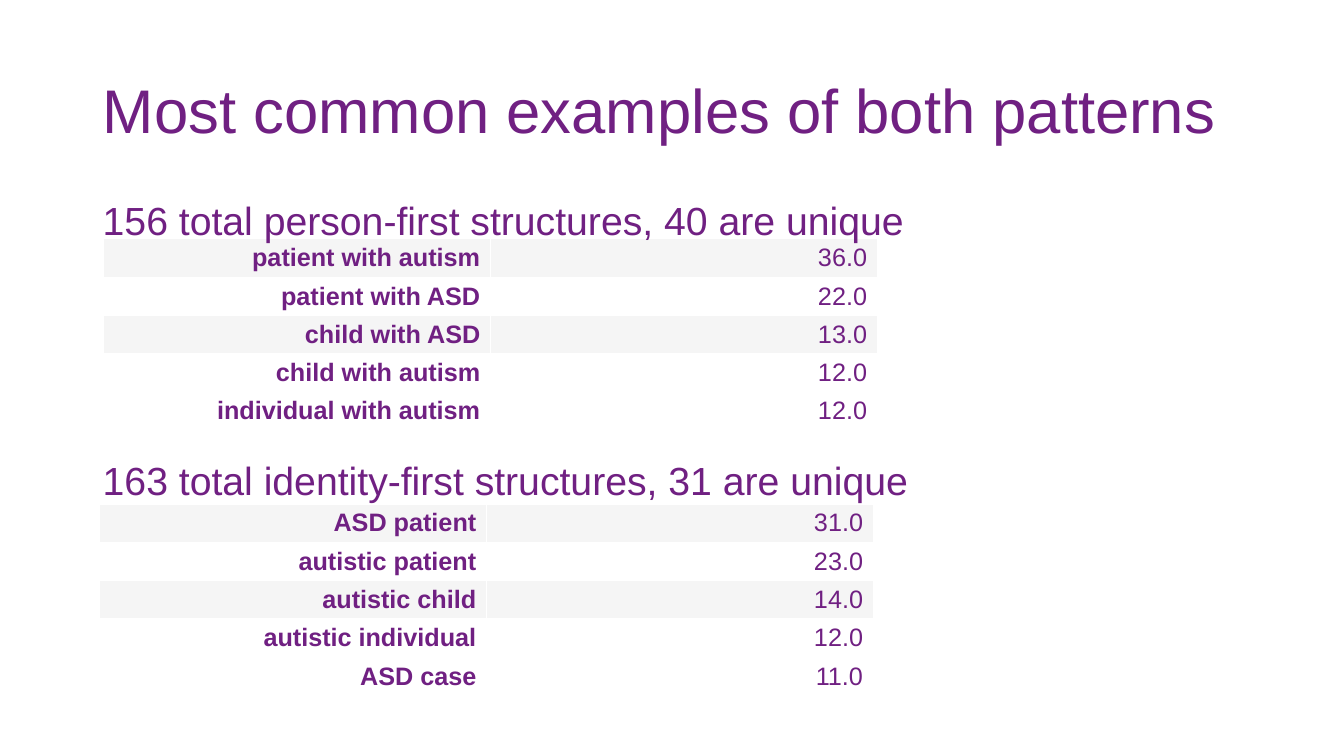
"""Build the slide on the most common person-first and identity-first examples."""
from pptx import Presentation
from pptx.dml.color import RGBColor
from pptx.enum.text import MSO_ANCHOR, MSO_AUTO_SIZE, PP_ALIGN
from pptx.util import Inches, Pt

LEFT, RIGHT = PP_ALIGN.LEFT, PP_ALIGN.RIGHT
MIDDLE = MSO_ANCHOR.MIDDLE
NO_AUTOFIT = MSO_AUTO_SIZE.NONE
COLORS = {"purple": "702082", "band": "F5F5F5", "white": "FFFFFF"}
FONT = "Arial"
ROW_HEIGHT = 0.38
COLUMN_WIDTH = 3.835

PATTERNS = [
    ("156 total person-first structures, 40 are unique", 1.03, 2.37, [
        ("patient with autism", "36.0"),
        ("patient with ASD", "22.0"),
        ("child with ASD", "13.0"),
        ("child with autism", "12.0"),
        ("individual with autism", "12.0"),
    ]),
    ("163 total identity-first structures, 31 are unique", 0.99, 5, [
        ("ASD patient", "31.0"),
        ("autistic patient", "23.0"),
        ("autistic child", "14.0"),
        ("autistic individual", "12.0"),
        ("ASD case", "11.0"),
    ]),
]


def write(paragraph, text, size, align, bold=False):
    paragraph.alignment = align
    run = paragraph.add_run()
    run.text = text
    run.font.name = FONT
    run.font.size = Pt(size)
    run.font.bold = bold
    run.font.color.rgb = RGBColor.from_string(COLORS["purple"])


prs = Presentation()
prs.slide_width, prs.slide_height = Inches(13.33), Inches(7.5)
slide = prs.slides.add_slide(prs.slide_layouts[5])

title = slide.shapes.title
title.left, title.top = Inches(0.92), Inches(0.4)
title.width, title.height = Inches(11.5), Inches(1.45)
title.text_frame.auto_size = NO_AUTOFIT
title.text_frame.vertical_anchor = MIDDLE
title.text_frame.paragraphs[0].line_spacing = 0.9
write(title.text_frame.paragraphs[0], "Most common examples of both patterns", 44, LEFT)

for heading, left, top, examples in PATTERNS:
    counts = slide.shapes.add_table(
        len(examples), 2, Inches(left), Inches(top),
        Inches(2 * COLUMN_WIDTH), Inches(ROW_HEIGHT * len(examples))).table
    counts.first_row = False
    counts.horz_banding = False
    for column in counts.columns:
        column.width = Inches(COLUMN_WIDTH)
    for row, example in enumerate(examples):
        counts.rows[row].height = Inches(ROW_HEIGHT)
        shade = "band" if row in (0, 2) else "white"
        for col, text in enumerate(example):
            cell = counts.cell(row, col)
            cell.fill.solid()
            cell.fill.fore_color.rgb = RGBColor.from_string(COLORS[shade])
            cell.vertical_anchor = MIDDLE
            cell.margin_top = cell.margin_bottom = Inches(0.04)
            write(cell.text_frame.paragraphs[0], text, 18, RIGHT, bold=col == 0)

headings = slide.shapes.add_textbox(
    Inches(0.92), Inches(1.9), Inches(8.39), Inches(3.47)).text_frame
headings.word_wrap = True
write(headings.paragraphs[0], PATTERNS[0][0], 28, LEFT)
second_heading = headings.add_paragraph()
second_heading.space_before = Pt(152)
write(second_heading, PATTERNS[1][0], 28, LEFT)

prs.save("out.pptx")
